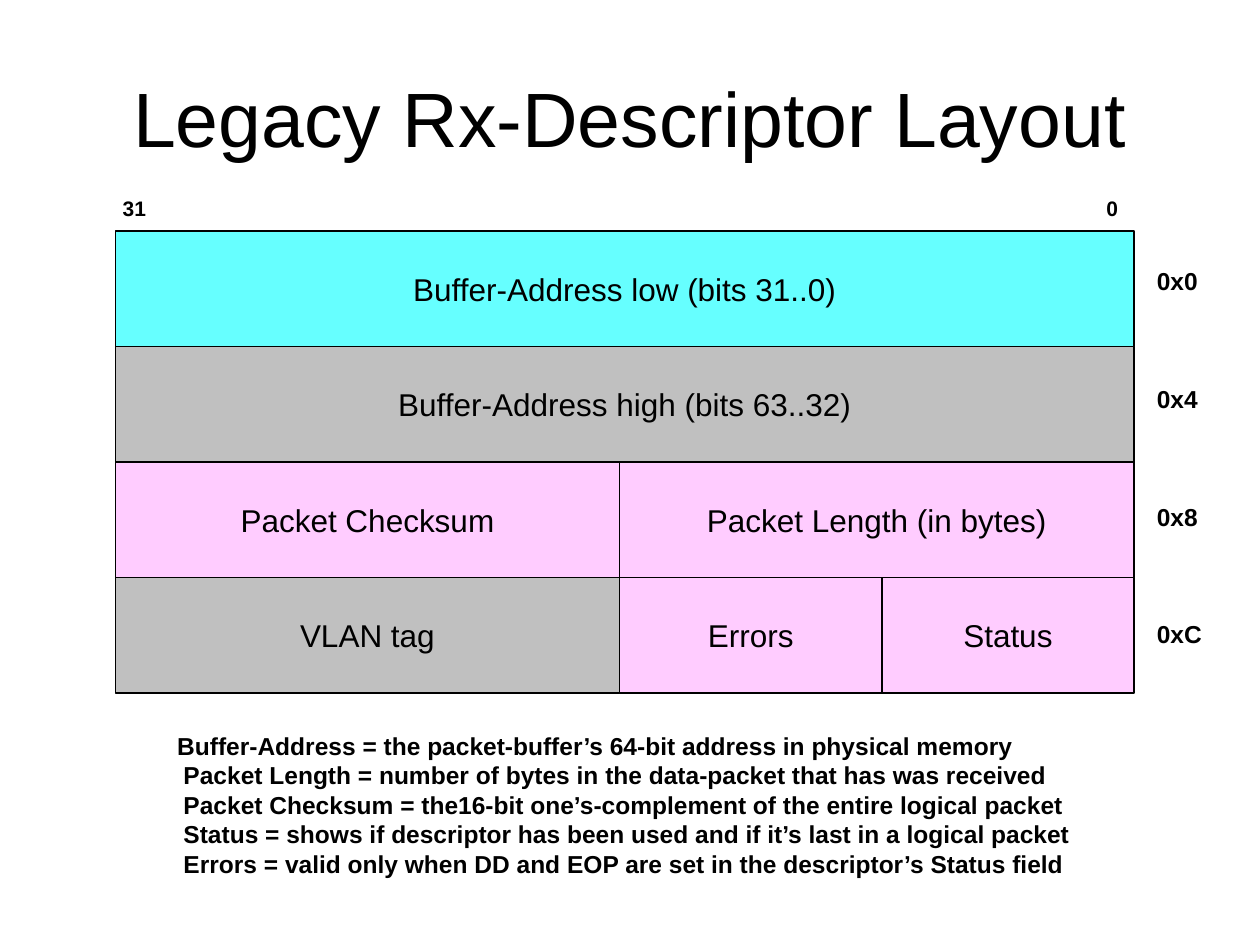
from dataclasses import dataclass
from lxml.etree import SubElement
from pptx import Presentation
from pptx.dml.color import RGBColor
from pptx.enum.shapes import MSO_SHAPE as Shape
from pptx.enum.text import MSO_ANCHOR as Anchor, MSO_AUTO_SIZE as AutoSize, PP_ALIGN as Align
from pptx.oxml.ns import qn
from pptx.slide import Slide
from pptx.util import Inches, Pt

COLORS = {"ink": "000000", "cyan": "66FFFF", "gray": "C0C0C0", "pink": "FFCCFF"}
FORMATS = {
    "title": {"size": Pt(44), "bold": False},
    "field": {"size": Pt(18), "bold": False},
    "bits": {"size": Pt(12), "bold": True},
    "note": {"size": Pt(14), "bold": True},
}
UNIT = Inches(1) / 12
LEFT, TOP, ROW = 11, 22, 11
FIELDS = [
    [("Buffer-Address low (bits 31..0)", "cyan", 97)],
    [("Buffer-Address high (bits 63..32)", "gray", 97)],
    [("Packet Checksum", "pink", 48), ("Packet Length (in bytes)", "pink", 49)],
    [("VLAN tag", "gray", 48), ("Errors", "pink", 25), ("Status", "pink", 24)],
]
OFFSETS = ["0x0", "0x4", "0x8", "0xC"]
NOTES = [
    "Buffer-Address = the packet-buffer’s 64-bit address in physical memory",
    "Packet Length = number of bytes in the data-packet that has was received",
    "Packet Checksum = the16-bit one’s-complement of the entire logical packet",
    "Status = shows if descriptor has been used and if it’s last in a logical packet",
    "Errors = valid only when DD and EOP are set in the descriptor’s Status field",
]


@dataclass
class DescriptorSlide:
    """Draws a descriptor layout on a grid of twelve units to the inch."""

    slide: Slide
    typeface: str = "Arial"

    def color(self, name):
        return RGBColor.from_string(COLORS[name])

    def box(self, *units):
        return [round(unit * UNIT) for unit in units]

    def style(self, paragraph, kind, align=Align.LEFT):
        paragraph.alignment = align
        for name, value in {"name": self.typeface, **FORMATS[kind]}.items():
            setattr(paragraph.font, name, value)
        paragraph.font.color.rgb = self.color("ink")

    def title(self, text, *units):
        title = self.slide.shapes.title
        title.left, title.top, title.width, title.height = self.box(*units)
        frame = title.text_frame
        frame.text = text
        frame.auto_size = AutoSize.NONE
        frame.vertical_anchor = Anchor.MIDDLE
        self.style(frame.paragraphs[0], "title", Align.CENTER)

    def field(self, text, fill, *units):
        shape = self.slide.shapes.add_shape(Shape.RECTANGLE, *self.box(*units))
        shape.shadow.inherit = False
        shape.fill.solid()
        shape.fill.fore_color.rgb = self.color(fill)
        shape.line.color.rgb = self.color("ink")
        shape.line.width = Pt(0.75)
        frame = shape.text_frame
        frame.text = text
        frame.word_wrap = False
        frame.vertical_anchor = Anchor.MIDDLE
        self.style(frame.paragraphs[0], "field", Align.CENTER)

    def text(self, lines, kind, *units, gap=0, line=None, inset=0.05, hang=0, tab=None):
        frame = self.slide.shapes.add_textbox(*self.box(*units)).text_frame
        frame.word_wrap = True
        frame.margin_top = Inches(inset)
        frame.text = "\n".join(lines)
        for index, paragraph in enumerate(frame.paragraphs):
            properties = paragraph._p.get_or_add_pPr()
            if tab:
                tabs = SubElement(properties, qn("a:tabLst"))
                SubElement(tabs, qn("a:tab"), pos=str(Inches(tab)), algn="r")
            self.style(paragraph, kind)
            paragraph.line_spacing = line
            if index:
                paragraph.space_before = Pt(gap)
                properties.set("marL", str(Inches(hang)))


def main():
    presentation = Presentation()
    presentation.slide_width, presentation.slide_height = Inches(10), Inches(7.5)
    layout = presentation.slide_layouts.get_by_name("Title Only")
    page = DescriptorSlide(presentation.slides.add_slide(layout))
    page.title("Legacy Rx-Descriptor Layout", 6, 3.6, 108, 15)
    page.text(["31\t0"], "bits", 10.5, 18, 97.5, 3.6, tab=7.9)
    for row, fields in enumerate(FIELDS):
        column = LEFT
        for label, fill, width in fields:
            page.field(label, fill, column, TOP + row * ROW, width, ROW)
            column += width
    page.text(OFFSETS, "note", 109, TOP, 6.7, 43.2, gap=50.4, line=Pt(16.85), inset=0.28)
    page.text(NOTES, "note", 15.7, 69, 87.6, 15.2, line=Pt(16.85), hang=0.05)
    presentation.save("out.pptx")


if __name__ == "__main__":
    main()
